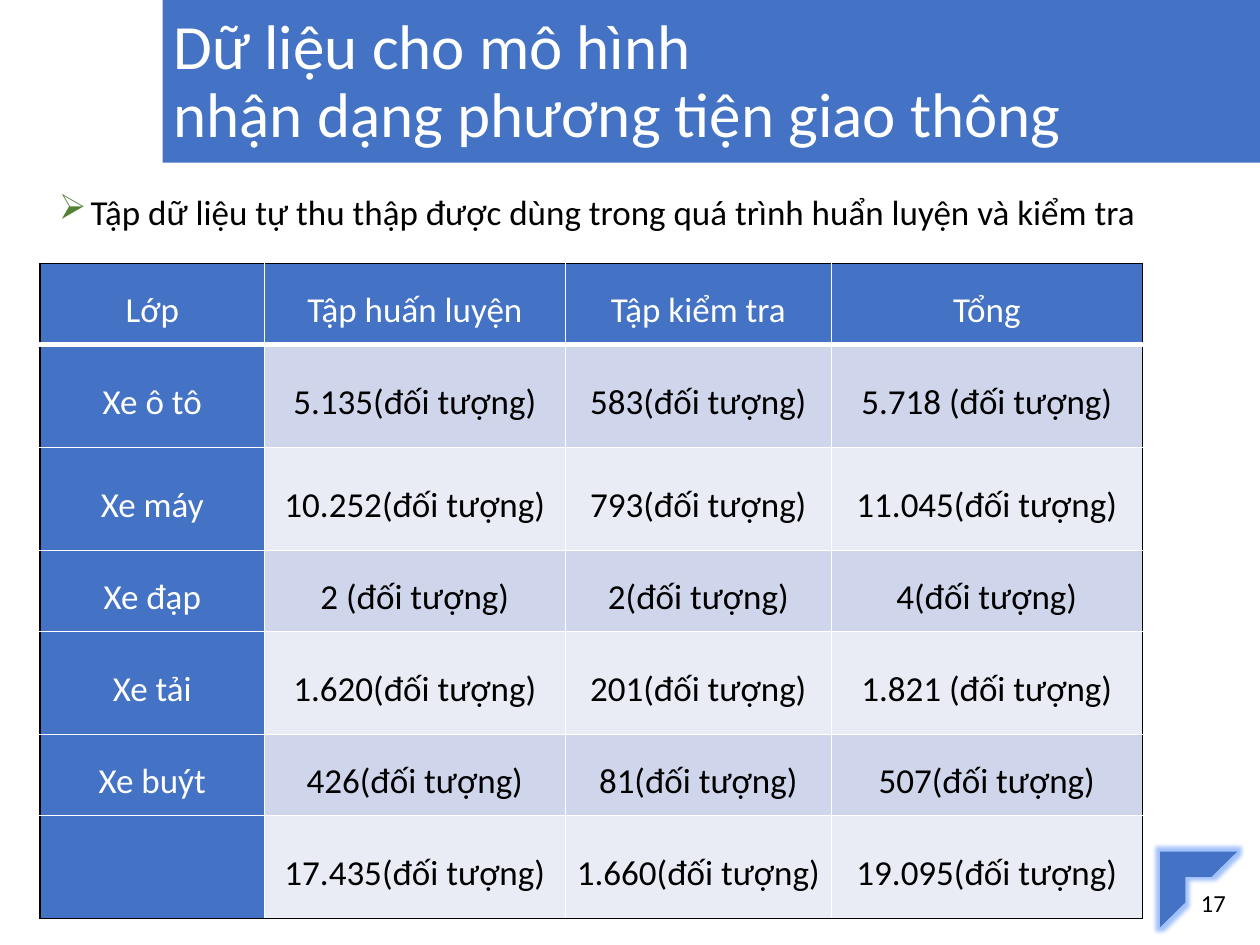
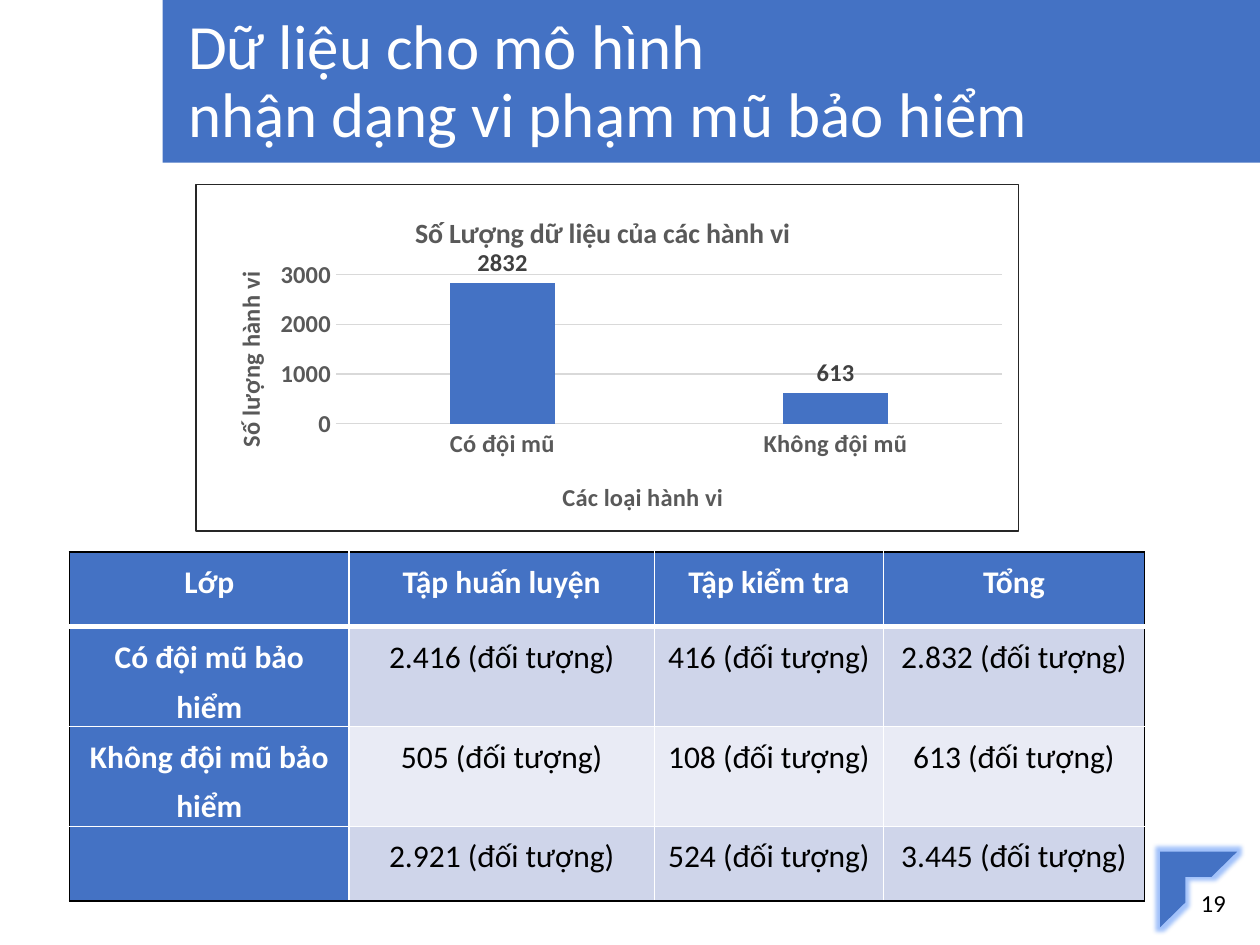
"""Build two slides on the training data of a traffic recognition model."""
from dataclasses import dataclass

from lxml import etree
from pptx import Presentation
from pptx.chart.data import CategoryChartData
from pptx.dml.color import RGBColor
from pptx.enum.chart import XL_CHART_TYPE, XL_LABEL_POSITION, XL_TICK_MARK
from pptx.enum.shapes import MSO_SHAPE
from pptx.enum.text import MSO_ANCHOR, MSO_AUTO_SIZE, PP_ALIGN
from pptx.oxml import parse_xml
from pptx.oxml.ns import nsdecls, qn
from pptx.util import Cm, Pt

COLUMNS = XL_CHART_TYPE.COLUMN_CLUSTERED
ABOVE_BAR = XL_LABEL_POSITION.OUTSIDE_END
NO_TICK = XL_TICK_MARK.NONE
RECTANGLE, HALF_FRAME = MSO_SHAPE.RECTANGLE, MSO_SHAPE.HALF_FRAME
TOP, MIDDLE = MSO_ANCHOR.TOP, MSO_ANCHOR.MIDDLE
LEFT, CENTER, JUSTIFY = PP_ALIGN.LEFT, PP_ALIGN.CENTER, PP_ALIGN.JUSTIFY
NO_AUTOFIT = MSO_AUTO_SIZE.NONE

HEADER = ["Lớp", "Tập huấn luyện", "Tập kiểm tra", "Tổng"]

VEHICLES = {
    "title": ["Dữ liệu cho mô hình", "nhận dạng phương tiện giao thông"],
    "title_indent": 0.25,
    "number": "17",
    "intro": "Tập dữ liệu tự thu thập được dùng trong quá trình huẩn luyện và kiểm tra",
    "table": {
        "corner": (0.81, 5.31),
        "columns": [4.52, 6.07, 5.36, 6.27],
        "rows": [1.63, 2.08, 2.08, 1.63, 2.08, 1.63, 2.08],
        "size": 20, "bold_heads": False, "anchor": MIDDLE,
        "cells": [
            HEADER,
            ["Xe ô tô", "5.135(đối tượng)", "583(đối tượng)", "5.718 (đối tượng)"],
            ["Xe máy", "10.252(đối tượng)", "793(đối tượng)", "11.045(đối tượng)"],
            ["Xe đạp", "2 (đối tượng)", "2(đối tượng)", "4(đối tượng)"],
            ["Xe tải", "1.620(đối tượng)", "201(đối tượng)", "1.821 (đối tượng)"],
            ["Xe buýt", "426(đối tượng)", "81(đối tượng)", "507(đối tượng)"],
            ["", "17.435(đối tượng)", "1.660(đối tượng)", "19.095(đối tượng)"],
        ],
    },
}

HELMETS = {
    "title": ["Dữ liệu cho mô hình", "nhận dạng vi phạm mũ bảo hiểm"],
    "title_indent": 0.54,
    "number": "19",
    "chart": {
        "title": "Số Lượng dữ liệu của các hành vi",
        "category_title": "Các loại hành vi",
        "value_title": "Số lượng hành vi",
        "counts": {"Có đội mũ": 2832, "Không đội mũ": 613},
    },
    "table": {
        "corner": (1.4, 11.13),
        "columns": [5.64, 6.15, 4.62, 5.26],
        "rows": [1.5] * 4,
        "size": 18, "bold_heads": True, "anchor": TOP,
        "cells": [
            HEADER,
            ["Có đội mũ bảo hiểm", "2.416 (đối tượng)", "416 (đối tượng)", "2.832 (đối tượng)"],
            ["Không đội mũ bảo hiểm", "505 (đối tượng)", "108 (đối tượng)", "613 (đối tượng)"],
            ["", "2.921 (đối tượng)", "524 (đối tượng)", "3.445 (đối tượng)"],
        ],
    },
}


@dataclass(frozen=True)
class Theme:
    """Colours, font and type sizes of the deck."""
    font: str = "Calibri"
    blue: str = "4472C4"
    white: str = "FFFFFF"
    black: str = "000000"
    bands: tuple = ("E9EBF5", "CFD5EA")
    bullet: str = "548235"
    grid: str = "D9D9D9"
    axis_text: str = "595959"
    label_text: str = "404040"
    chart_border: str = "262626"
    title_size: int = 36
    intro_size: int = 20
    small_size: int = 14
    chart_title_size: int = 16


THEME = Theme()


def rgb(color):
    """Turn a hex string into a colour."""
    return RGBColor.from_string(color)


def box(left, top, width, height):
    """Give a rectangle in centimetres as lengths."""
    return Cm(left), Cm(top), Cm(width), Cm(height)


def set_font(font, size, color, bold=False):
    """Apply the theme font with a size and a colour."""
    font.name, font.size, font.bold = THEME.font, Pt(size), bold
    font.color.rgb = rgb(color)


def write(frame, text, size, color, align):
    """Fill a text frame with one formatted paragraph."""
    frame.word_wrap = True
    paragraph = frame.paragraphs[0]
    paragraph.text = text
    paragraph.alignment = align
    set_font(paragraph.font, size, color)
    return paragraph


def add_blue_shape(slide, kind, area):
    """Add a flat blue shape."""
    shape = slide.shapes.add_shape(kind, *box(*area))
    shape.shadow.inherit = False
    shape.fill.solid()
    shape.fill.fore_color.rgb = rgb(THEME.blue)
    shape.line.fill.background()
    return shape


def add_page(deck, content):
    """Add a slide with its title band, corner mark and number."""
    slide = deck.slides.add_slide(deck.slide_layouts[5])
    add_blue_shape(slide, RECTANGLE, (3.28, 0, 22.12, 3.28))
    corner = add_blue_shape(slide, HALF_FRAME, (23.39, 17.17, 1.55, 1.52))
    corner.element.spPr.find(qn("a:effectLst")).append(parse_xml(
        f'<a:glow {nsdecls("a")} rad="63500"><a:srgbClr val="{THEME.blue}">'
        '<a:satMod val="175000"/><a:alpha val="40000"/></a:srgbClr></a:glow>'))

    number = slide.shapes.add_textbox(*box(23.52, 17.68, 1.88, 1.02)).text_frame
    number.vertical_anchor = MIDDLE
    write(number, content["number"], THEME.small_size, THEME.black, CENTER)

    title = slide.shapes.title
    slide.shapes.element.append(title.element)
    title.left, title.top, title.width, title.height = box(3.25, 0.03, 19, 3.28)
    frame = title.text_frame
    frame.auto_size = NO_AUTOFIT
    frame.vertical_anchor = MIDDLE
    frame.margin_left = Cm(content["title_indent"])
    heading = write(frame, "\v".join(content["title"]), THEME.title_size, THEME.white, LEFT)
    heading.line_spacing = 0.9
    return slide


def add_intro(slide, text):
    """Add the bulleted line above the table."""
    frame = slide.shapes.add_textbox(*box(0.94, 3.71, 23.5, 3.56)).text_frame
    paragraph = write(frame, text, THEME.intro_size, THEME.black, JUSTIFY)
    properties = paragraph._p.get_or_add_pPr()
    properties.set("marL", str(Cm(0.64)))
    properties.set("indent", str(-Cm(0.64)))
    bullet = (f'<a:buClr {nsdecls("a")}><a:srgbClr val="{THEME.bullet}"/></a:buClr>',
              f'<a:buChar {nsdecls("a")} char="➢"/>')
    for position, xml in enumerate(bullet):
        properties.insert(position, parse_xml(xml))


def set_borders(cell, row, column, last_row, last_column):
    """Draw white inner rules, a thick one under the header and a black outline."""
    edges = {
        "lnL": (column == 0, 1),
        "lnR": (column == last_column, 1),
        "lnT": (row == 0, 3 if row == 1 else 1),
        "lnB": (row == last_row, 3 if row == 0 else 1),
    }
    properties = cell._tc.get_or_add_tcPr()
    for position, (edge, (outer, width)) in enumerate(edges.items()):
        color = THEME.black if outer else THEME.white
        properties.insert(position, parse_xml(
            f'<a:{edge} {nsdecls("a")} w="{Pt(width)}"><a:solidFill>'
            f'<a:srgbClr val="{color}"/></a:solidFill></a:{edge}>'))


def add_data_table(slide, content):
    """Add a table with blue heads and banded rows."""
    cells, widths, heights = content["cells"], content["columns"], content["rows"]
    area = box(*content["corner"], sum(widths), sum(heights))
    table = slide.shapes.add_table(len(heights), len(widths), *area).table
    for column, width in zip(table.columns, widths):
        column.width = Cm(width)
    for row, height in zip(table.rows, heights):
        row.height = Cm(height)
    for r, texts in enumerate(cells):
        for c, text in enumerate(texts):
            cell = table.cell(r, c)
            is_head = r == 0 or c == 0
            cell.fill.solid()
            cell.fill.fore_color.rgb = rgb(THEME.blue if is_head else THEME.bands[r % 2])
            cell.vertical_anchor = content["anchor"]
            cell.margin_left = cell.margin_right = Cm(0.19)
            cell.margin_top = cell.margin_bottom = 0
            color = THEME.white if is_head else THEME.black
            paragraph = write(cell.text_frame, text, content["size"], color, CENTER)
            paragraph.font.bold = is_head and content["bold_heads"]
            paragraph.line_spacing = 1.3
            paragraph.space_before = paragraph.space_after = Pt(6)
            set_borders(cell, r, c, len(cells) - 1, len(texts) - 1)


def place(element, position, **fractions):
    """Give a chart part a fixed place, in fractions of the chart."""
    for old in element.findall(qn("c:layout")):
        element.remove(old)
    layout = etree.Element(qn("c:layout"))
    manual = etree.SubElement(layout, qn("c:manualLayout"))
    if "w" in fractions:
        etree.SubElement(manual, qn("c:layoutTarget"), val="inner")
    for axis in "xy":
        etree.SubElement(manual, qn(f"c:{axis}Mode"), val="edge")
    for name, value in fractions.items():
        etree.SubElement(manual, qn(f"c:{name}"), val=str(value))
    element.insert(position, layout)


def set_chart_title(title, text, size, x, y):
    """Write and place a title of the chart or of an axis."""
    paragraph = title.text_frame.paragraphs[0]
    paragraph.text = text
    set_font(paragraph.font, size, THEME.axis_text, bold=True)
    place(title.element, 1, x=x, y=y)


def add_count_chart(slide, content):
    """Add the column chart of counts."""
    data = CategoryChartData()
    data.categories = list(content["counts"])
    data.add_series("Series 1", list(content["counts"].values()))
    chart = slide.shapes.add_chart(COLUMNS, *box(3.94, 3.71, 16.61, 7.01), data).chart
    chart.has_legend = False
    set_font(chart.font, THEME.small_size, THEME.black, bold=True)
    chart.element.find(qn("c:chart")).addnext(parse_xml(
        f'<c:spPr {nsdecls("c", "a")}><a:solidFill><a:srgbClr val="{THEME.white}"/></a:solidFill>'
        f'<a:ln w="{Pt(0.75)}"><a:solidFill><a:srgbClr val="{THEME.chart_border}"/>'
        '</a:solidFill></a:ln></c:spPr>'))
    place(chart.element.find(".//" + qn("c:plotArea")), 0, x=0.17, y=0.26, w=0.81, h=0.43)

    categories, values = chart.category_axis, chart.value_axis
    chart.has_title = True
    set_chart_title(chart.chart_title, content["title"], THEME.chart_title_size, 0.26, 0.07)
    set_chart_title(categories.axis_title, content["category_title"], THEME.small_size, 0.44, 0.84)
    set_chart_title(values.axis_title, content["value_title"], THEME.small_size, 0.04, 0.24)
    values.axis_title.element.find(".//" + qn("a:bodyPr")).set("rot", "-5400000")

    for axis in (categories, values):
        axis.major_tick_mark = axis.minor_tick_mark = NO_TICK
        set_font(axis.tick_labels.font, THEME.small_size, THEME.axis_text, bold=True)
    values.minimum_scale, values.maximum_scale, values.major_unit = 0, 3000, 1000
    values.format.line.fill.background()
    for line in (categories.format.line, values.major_gridlines.format.line):
        line.color.rgb = rgb(THEME.grid)
        line.width = Pt(0.75)

    plot = chart.plots[0]
    plot.gap_width, plot.overlap, plot.vary_by_categories = 219, -27, False
    bars = plot.series[0]
    bars.format.fill.solid()
    bars.format.fill.fore_color.rgb = rgb(THEME.blue)
    labels = bars.data_labels
    labels.show_value = True
    labels.position = ABOVE_BAR
    set_font(labels.font, THEME.small_size, THEME.label_text, bold=True)


def main():
    """Build and save the deck."""
    deck = Presentation()
    deck.slide_width, deck.slide_height = Cm(25.4), Cm(19.05)
    for content in (VEHICLES, HELMETS):
        slide = add_page(deck, content)
        if "intro" in content:
            add_intro(slide, content["intro"])
        if "chart" in content:
            add_count_chart(slide, content["chart"])
        add_data_table(slide, content["table"])
    deck.save("out.pptx")


if __name__ == "__main__":
    main()
